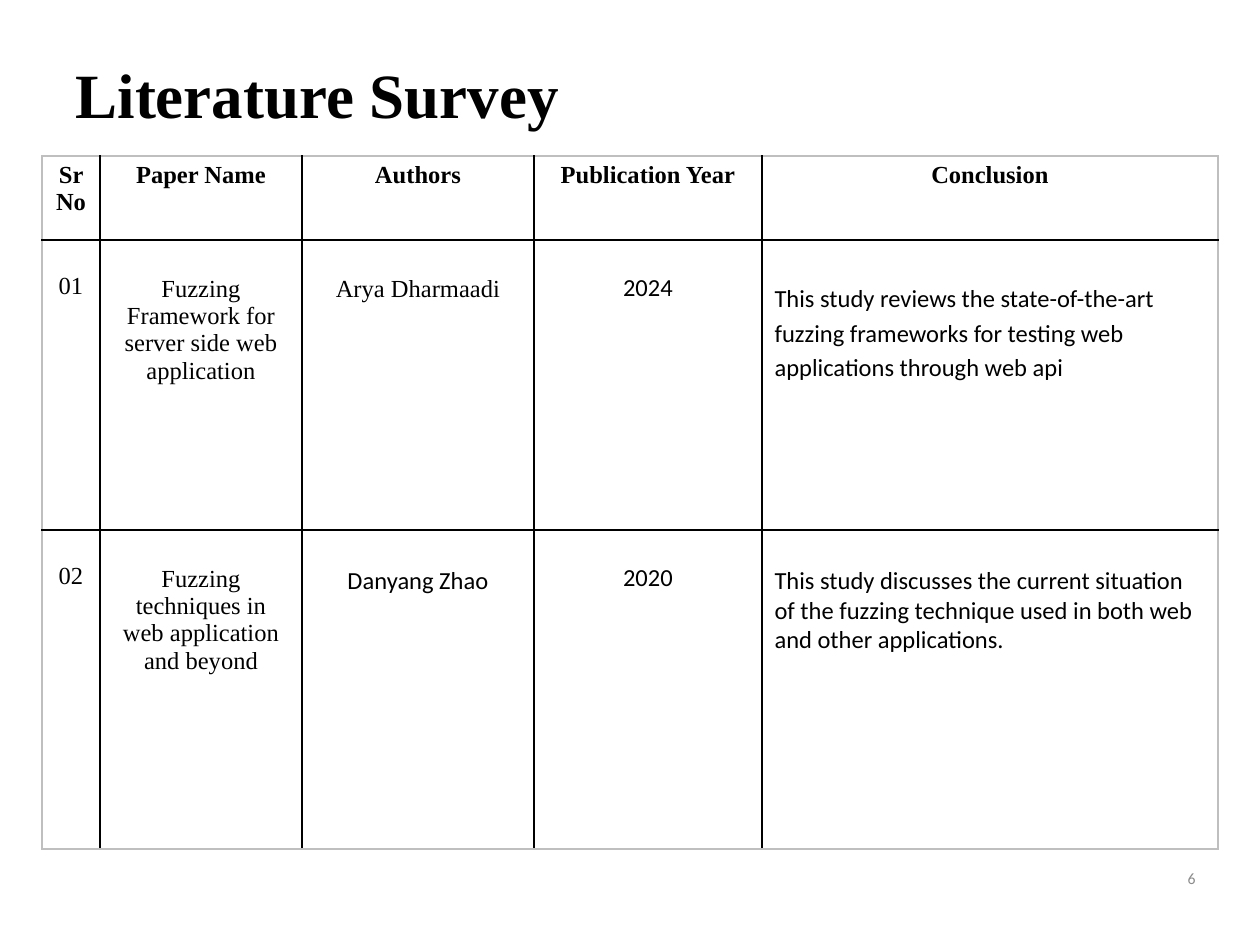
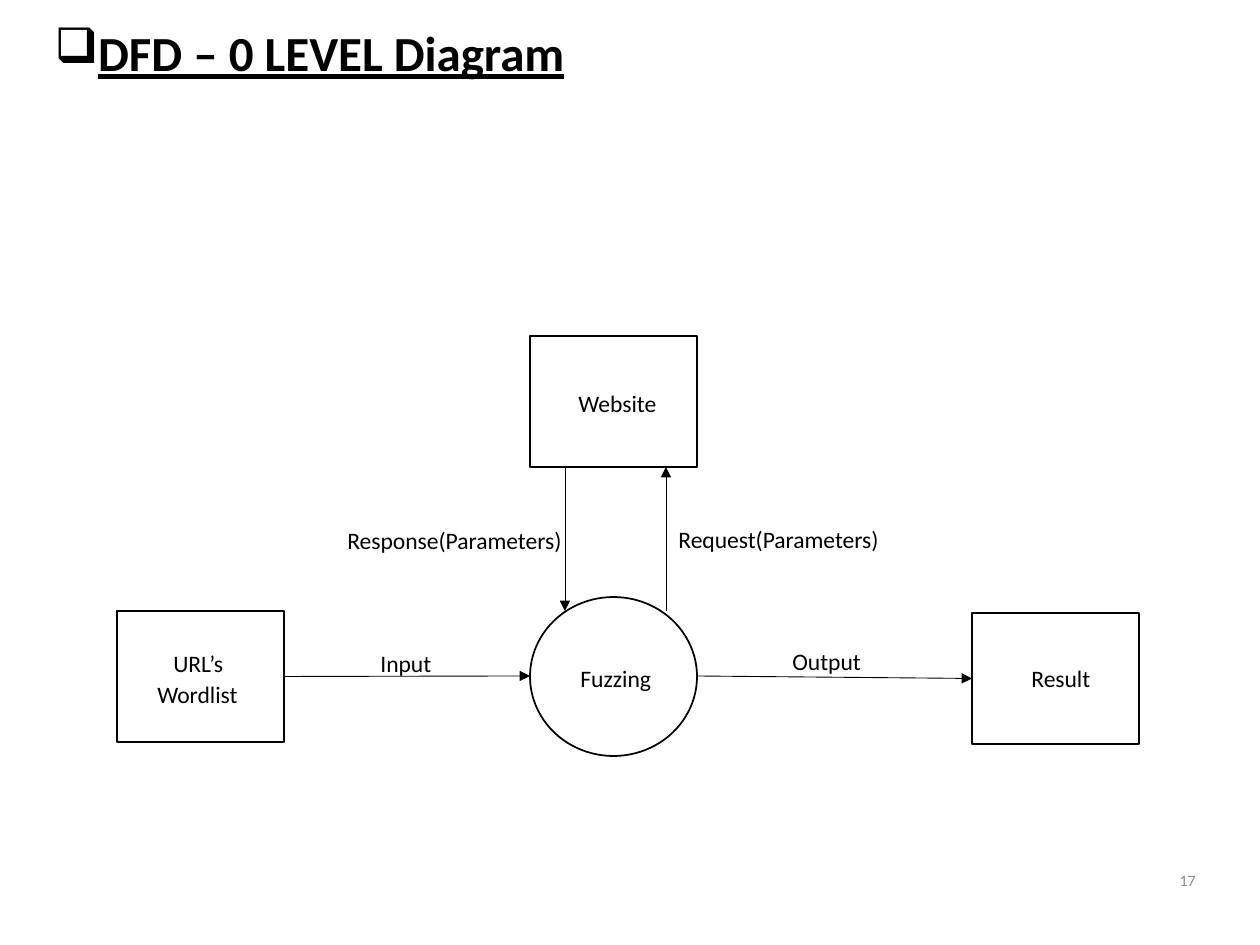
from lxml import etree
from pptx import Presentation
from pptx import util as u
from pptx.dml.color import RGBColor
from pptx.enum import shapes, text
from pptx.oxml import parse_xml
from pptx.oxml.ns import nsdecls, qn

PX = 914400 / 126
BLACK = RGBColor(0x00, 0x00, 0x00)
WHITE = RGBColor(0xFF, 0xFF, 0xFF)
GREY = RGBColor(0x8C, 0x8C, 0x8C)
FRAME = RGBColor(0xBF, 0xBF, 0xBF)
SERIF, SANS = "Times New Roman", "Calibri"
LEFT, CENTER, RIGHT = text.PP_ALIGN.LEFT, text.PP_ALIGN.CENTER, text.PP_ALIGN.RIGHT
TOP, MIDDLE = text.MSO_ANCHOR.TOP, text.MSO_ANCHOR.MIDDLE


def px(*lengths):
    return [u.Emu(round(length * PX)) for length in lengths]


def write(frame, words, font, size, color=BLACK, align=LEFT, bold=False):
    frame.word_wrap = True
    frame.text = words
    paragraph = frame.paragraphs[0]
    paragraph.alignment = align
    paragraph.font.name = font
    paragraph.font.size = u.Pt(size)
    paragraph.font.color.rgb = color
    paragraph.font.bold = bold
    return paragraph


presentation = Presentation()
presentation.slide_width, presentation.slide_height = px(1260, 945)

# Shared: titles and page numbers
slides, titles = [], []
for words, font, size, anchor, box, number, number_box in [
    ("Literature Survey", SERIF, 36, MIDDLE, (63, 38, 1134, 120), "6", (1144, 853, 64, 51)),
    ("DFD – 0 LEVEL Diagram", SANS, 28, TOP, (42, 16, 672, 72), "17", (1144, 861, 64, 38)),
]:
    slide = presentation.slides.add_slide(presentation.slide_layouts[5])
    title = slide.shapes.title
    title.left, title.top, title.width, title.height = px(*box)
    titles.append(write(title.text_frame, words, font, size, bold=True))
    title.text_frame.auto_size = text.MSO_AUTO_SIZE.NONE
    title.text_frame.vertical_anchor = anchor
    page = slide.shapes.add_textbox(*px(*number_box)).text_frame
    write(page, number, SANS, 9, GREY, RIGHT)
    page.vertical_anchor = MIDDLE
    slides.append(slide)

survey, diagram = slides
titles[0].line_spacing = 0.9

# Square bullet and underline on the diagram title
titles[1].font.underline = True
properties = titles[1]._p.get_or_add_pPr()
indent = px(35)[0]
properties.set("marL", str(indent))
properties.set("indent", str(-indent))
bullet = parse_xml(f'<a:buChar {nsdecls("a")} char="❑"/>')
properties.find(qn("a:defRPr")).addprevious(bullet)

# Survey table: each entry is words, font, top margin
COLUMNS = [58, 202, 232, 228, 456]
ROWS = [84, 290, 319]
HEADINGS = ["Sr No", "Paper Name", "Authors", "Publication Year", "Conclusion"]
ENTRIES = [
    [(heading, SERIF, 6) for heading in HEADINGS],
    [("01", SERIF, 33),
     ("Fuzzing Framework for server side web application", SERIF, 36),
     ("Arya Dharmaadi", SERIF, 36),
     ("2024", SANS, 33),
     ("This study reviews the state-of-the-art fuzzing frameworks for testing "
      "web applications through web api", SANS, 40)],
    [("02", SERIF, 33),
     ("Fuzzing techniques in web application and beyond", SERIF, 36),
     ("Danyang Zhao", SANS, 36),
     ("2020", SANS, 33),
     ("This study discusses the current situation of the fuzzing technique used "
      "in both web and other applications.", SANS, 36)],
]
last_row, last_column = len(ROWS) - 1, len(COLUMNS) - 1
table = survey.shapes.add_table(
    len(ROWS), len(COLUMNS), *px(42, 156, sum(COLUMNS), sum(ROWS))).table
table.first_row = table.horz_banding = False
for column, width in zip(table.columns, px(*COLUMNS)):
    column.width = width
for row, height in zip(table.rows, px(*ROWS)):
    row.height = height

for r, entries in enumerate(ENTRIES):
    for c, (words, font, margin) in enumerate(entries):
        cell = table.cell(r, c)
        align = LEFT if r and c == last_column else CENTER
        paragraph = write(cell.text_frame, words, font, 14, align=align, bold=r == 0)
        if (r, c) == (1, last_column):
            paragraph.line_spacing = 1.15
        cell.margin_top = px(margin)[0]
        outer_sides = {"L": c == 0, "R": c == last_column, "T": r == 0, "B": r == last_row}
        for side, outer in outer_sides.items():
            cell._tc.get_or_add_tcPr().append(parse_xml(
                f'<a:ln{side} {nsdecls("a")} w="12700"><a:solidFill>'
                f'<a:srgbClr val="{FRAME if outer else BLACK}"/></a:solidFill></a:ln{side}>'))
        cell.fill.solid()
        cell.fill.fore_color.rgb = WHITE

# Diagram nodes
PROCESS = shapes.MSO_SHAPE.FLOWCHART_PROCESS
CIRCLE = shapes.MSO_SHAPE.FLOWCHART_CONNECTOR
nodes = {}
for name, kind, left, top, height in [
    ("Fuzzing", CIRCLE, 530, 597, 159),
    ("Wordlist", PROCESS, 117, 611, 131),
    ("Result", PROCESS, 972, 613, 131),
    ("Website", PROCESS, 530, 336, 131),
]:
    node = diagram.shapes.add_shape(kind, *px(left, top, 167, height))
    node.shadow.inherit = False
    node.fill.solid()
    node.fill.fore_color.rgb = WHITE
    node.line.color.rgb = BLACK
    node.line.width = u.Pt(1)
    nodes[name] = node

# Data flows
flows = []
for ends in [
    (284, 676, 530, 676),
    (697, 676, 972, 678),
    (565, 468, 565, 611),
    (666, 611, 666, 467),
]:
    flow = diagram.shapes.add_connector(shapes.MSO_CONNECTOR.STRAIGHT, *px(*ends))
    flow.line.color.rgb = BLACK
    flow.line.width = u.Pt(0.5)
    etree.SubElement(flow.line._get_or_add_ln(), qn("a:tailEnd"), type="triangle")
    etree.SubElement(flow._element.spPr, qn("a:effectLst"))
    flows.append(flow)
flows[0].begin_connect(nodes["Wordlist"], 3)
flows[1].end_connect(nodes["Result"], 1)

# Labels of nodes and flows
for words, left, top, width in [
    ("Input", 368, 643, 120),
    ("Result", 1019, 658, 107),
    ("Website", 566, 383, 117),
    ("Fuzzing", 568, 658, 121),
    ("URL’s", 161, 643, 110),
    ("Wordlist", 145, 674, 131),
    ("Request(Parameters)", 666, 519, 232),
    ("Response(Parameters)", 335, 520, 247),
    ("Output", 780, 641, 105),
]:
    label = diagram.shapes.add_textbox(*px(left, top, width, 42))
    write(label.text_frame, words, SANS, 13.5)

presentation.save("out.pptx")
